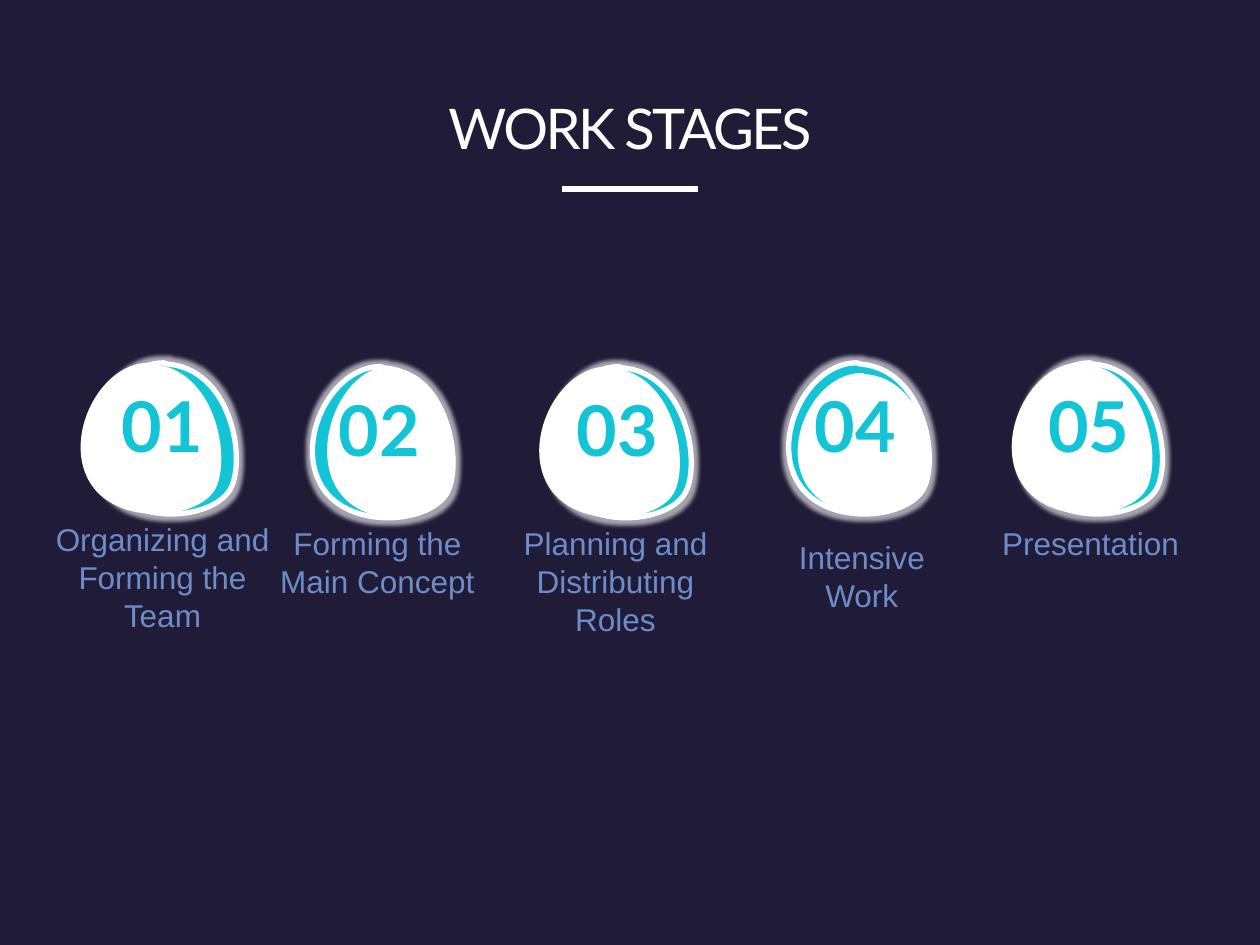
from lxml.etree import SubElement
from pptx import Presentation
from pptx.dml.color import RGBColor
from pptx.enum.shapes import MSO_CONNECTOR, MSO_SHAPE
from pptx.enum.text import MSO_ANCHOR, MSO_AUTO_SIZE, PP_ALIGN
from pptx.oxml import parse_xml
from pptx.oxml.ns import nsdecls, qn
from pptx.util import Inches, Pt

THEME = {
    "background": RGBColor.from_string("262140"),
    "veil": RGBColor.from_string("1D1A32"),
    "white": RGBColor.from_string("FFFFFF"),
    "accent": RGBColor.from_string("13C4D7"),
    "caption": RGBColor.from_string("6C8CCA"),
    "heading_font": "Lato", "caption_font": "Arial",
    "title_size": Pt(32), "number_size": Pt(40), "caption_size": Pt(18),
    "line_width": Pt(3),
}

# Curve points of the pebble in a 1.34 x 1.2 box: a start, then three per curve
PEBBLE_WIDTH, PEBBLE_HEIGHT = 1.34, 1.2
PEBBLE = [(0.69, 0), (0.3, 0), (0, 0.6), (0.23, 0.96),
          (0.34, 1.13), (0.55, 1.2), (0.75, 1.2),
          (0.96, 1.2), (1.17, 1.12), (1.23, 0.98),
          (1.34, 0.72), (1.21, 0.05), (0.72, 0.01),
          (0.71, 0), (0.7, 0), (0.69, 0)]

# Pebble left and top, inner pebble box, caption, caption box
STAGES = [
    (0.61, 2.88, (0.49, 2.88, 1.34, 1.2), "Organizing and Forming the Team", (0.28, 4.08, 2.02, 1.01)),
    (2.33, 2.91, (2.46, 2.91, 1.22, 1.2), "Forming the Main Concept", (2.09, 4.11, 1.81, 0.71)),
    (4.22, 2.91, (4.13, 2.91, 1.34, 1.2), "Planning and Distributing Roles", (3.82, 4.11, 2.13, 1.01)),
    (6.11, 2.88, (6.19, 2.96, 1.26, 1.12), "Intensive Work", (6.17, 4.22, 1.34, 0.71)),
    (7.96, 2.88, (7.88, 2.88, 1.34, 1.2), "Presentation", (7.83, 4.11, 1.65, 0.4)),
]

presentation = Presentation()
presentation.slide_width, presentation.slide_height = Inches(10), Inches(7.5)
slide = presentation.slides.add_slide(presentation.slide_layouts[6])


def add_pebble(box, color):
    left, top, width, height = box
    points = [(Inches(left + x * width / PEBBLE_WIDTH),
               Inches(top + y * height / PEBBLE_HEIGHT)) for x, y in PEBBLE]
    builder = slide.shapes.build_freeform(*points[0])
    builder.add_line_segments(points[1:], close=True)
    shape = builder.convert_to_shape()
    # Join each three line segments into one curve
    segments = list(shape.element.iter(qn("a:lnTo")))
    for start in range(0, len(segments), 3):
        curve = parse_xml(f"<a:cubicBezTo {nsdecls('a')}/>")
        segments[start].addprevious(curve)
        for segment in segments[start:start + 3]:
            curve.append(segment[0])
            segment.getparent().remove(segment)
    shape.shadow.inherit = False
    shape.fill.solid()
    shape.fill.fore_color.rgb = color
    shape.line.fill.background()
    return shape


def add_text(box, text, font_name, size, color):
    shape = slide.shapes.add_textbox(*map(Inches, box))
    frame = shape.text_frame
    frame.word_wrap = True
    frame.text = text
    paragraph = frame.paragraphs[0]
    paragraph.alignment = PP_ALIGN.CENTER
    font = paragraph.runs[0].font
    font.name, font.size, font.color.rgb = font_name, size, color
    return frame, font


# Background and translucent veil
slide.background.fill.solid()
slide.background.fill.fore_color.rgb = THEME["background"]
veil = slide.shapes.add_shape(MSO_SHAPE.RECTANGLE, 0, 0, Inches(10), Inches(7.5))
veil.shadow.inherit = False
veil.fill.solid()
veil.fill.fore_color.rgb = THEME["veil"]
veil.line.fill.background()
SubElement(next(veil.element.spPr.iter(qn("a:srgbClr"))), qn("a:alpha"), val="62000")

# Title and rule
rule = slide.shapes.add_connector(
    MSO_CONNECTOR.STRAIGHT, Inches(4.46), Inches(1.5), Inches(5.54), Inches(1.5))
rule.line.color.rgb = THEME["white"]
rule.line.width = THEME["line_width"]
SubElement(rule.element.spPr, qn("a:effectLst"))
frame, font = add_text((0.75, 0.67, 8.5, 0.67), "WORK STAGES",
                       THEME["heading_font"], THEME["title_size"], THEME["white"])
frame.vertical_anchor = MSO_ANCHOR.MIDDLE
frame.paragraphs[0].runs[0].font._element.set("spc", "-150")

# Stages
for number, (left, top, inner_box, caption, caption_box) in enumerate(STAGES, 1):
    pebble = add_pebble((left, top, PEBBLE_WIDTH, PEBBLE_HEIGHT), THEME["accent"])
    pebble.line.color.rgb = THEME["white"]
    pebble.line.width = THEME["line_width"]
    pebble.element.spPr.find(qn("a:effectLst")).append(parse_xml(
        f'<a:glow {nsdecls("a")} rad="63500"><a:srgbClr val="{THEME["white"]}">'
        '<a:alpha val="60000"/></a:srgbClr></a:glow>'))
    add_pebble(inner_box, THEME["white"])

    frame, font = add_text((left - 0.07, top + 0.19, 1.5, 0.6), f"{number:02}",
                           THEME["heading_font"], THEME["number_size"], THEME["accent"])
    frame.vertical_anchor = MSO_ANCHOR.MIDDLE
    frame.margin_top = frame.margin_bottom = Inches(0.1)
    font.bold = True
    frame.paragraphs[0].runs[0].font._element.insert(0, parse_xml(
        f'<a:ln {nsdecls("a")} w="{Pt(0.75)}"><a:solidFill>'
        f'<a:srgbClr val="{THEME["background"]}"/></a:solidFill></a:ln>'))

    frame, font = add_text(caption_box, caption, THEME["caption_font"],
                           THEME["caption_size"], THEME["caption"])
    frame.auto_size = MSO_AUTO_SIZE.SHAPE_TO_FIT_TEXT

presentation.save("out.pptx")
